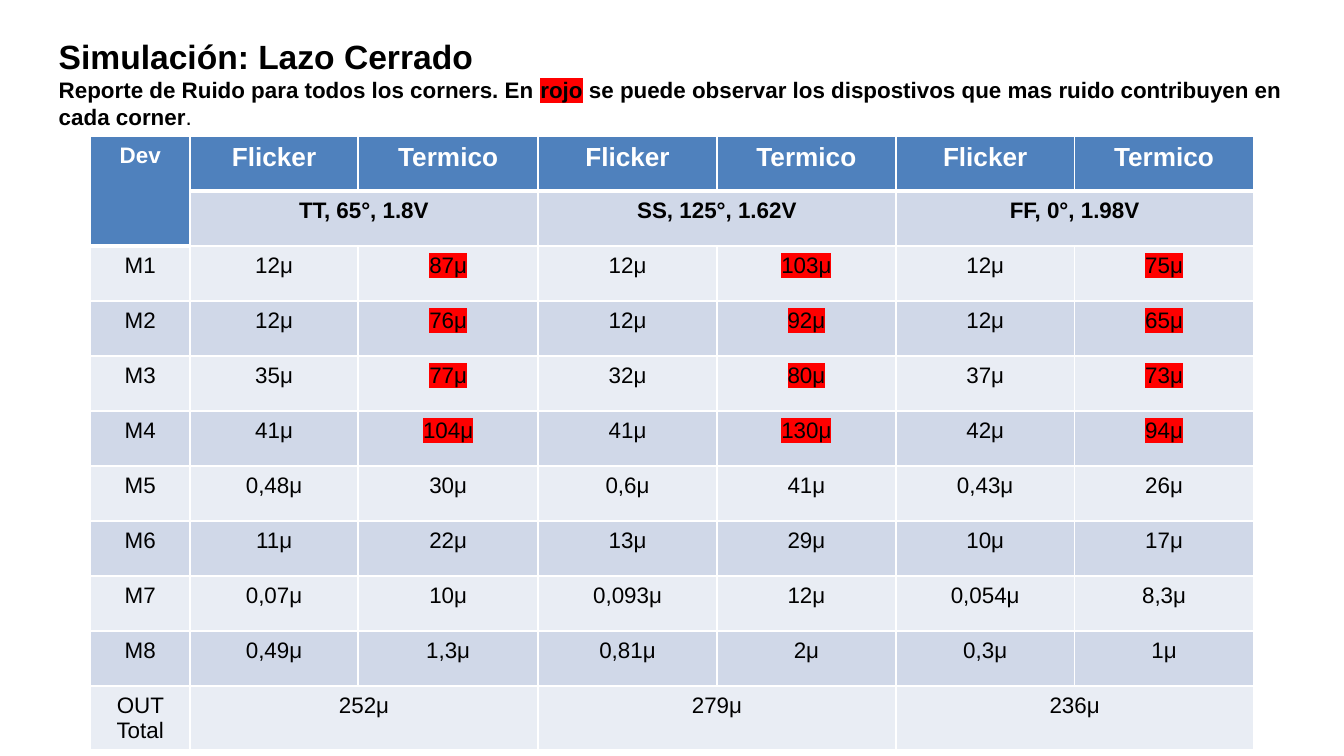
from dataclasses import dataclass

from lxml.etree import SubElement
from pptx import Presentation
from pptx.dml.color import RGBColor as Color
from pptx.enum.text import MSO_ANCHOR as Anchor, MSO_AUTO_SIZE as AutoSize, PP_ALIGN as Align
from pptx.oxml.ns import qn
from pptx.util import Cm, Pt

TITLE = "Simulación: Lazo Cerrado"
SUBTITLE = [  # text, style
    ("Reporte de Ruido para todos los corners. En ", {"bold": True}),
    ("rojo", {"bold": True, "marked": True}),
    (" se puede observar los dispostivos que mas ruido contribuyen en cada corner", {"bold": True}),
    (".", {}),
]
CORNERS = ["TT, 65°, 1.8V", "SS, 125°, 1.62V", "FF, 0°, 1.98V"]
NOISE = [  # device, then flicker and thermal noise for each corner
    ("M1", "12μ", "87μ", "12μ", "103μ", "12μ", "75μ"),
    ("M2", "12μ", "76μ", "12μ", "92μ", "12μ", "65μ"),
    ("M3", "35μ", "77μ", "32μ", "80μ", "37μ", "73μ"),
    ("M4", "41μ", "104μ", "41μ", "130μ", "42μ", "94μ"),
    ("M5", "0,48μ", "30μ", "0,6μ", "41μ", "0,43μ", "26μ"),
    ("M6", "11μ", "22μ", "13μ", "29μ", "10μ", "17μ"),
    ("M7", "0,07μ", "10μ", "0,093μ", "12μ", "0,054μ", "8,3μ"),
    ("M8", "0,49μ", "1,3μ", "0,81μ", "2μ", "0,3μ", "1μ"),
]
NOISIEST = {"M1", "M2", "M3", "M4"}  # their thermal noise is marked
TOTALS = ["252μ", "279μ", "236μ"]
COLUMN_WIDTHS = [1.88, 3.18, 3.4, 3.38, 3.38, 3.38, 3.38]
ROW_HEIGHT = 1.04


@dataclass(frozen=True)
class Theme:
    font: str = "Arial"
    title: int = 18
    header: int = 14
    body: int = 12
    ink: str = "000000"
    light: str = "FFFFFF"
    mark: str = "FF0000"
    head_fill: str = "4F81BD"
    bands: tuple = ("E9EDF4", "D0D8E8")
    thin: int = 1
    thick: int = 3


THEME = Theme()


def add_span(para, text, size=THEME.body, color=THEME.ink, bold=False, marked=False):
    span = para.add_run()
    span.text = text
    font = span.font
    font.name, font.size, font.bold = THEME.font, Pt(size), bold
    font.color.rgb = Color.from_string(color)
    if marked:
        properties = span._r.get_or_add_rPr()
        highlight = SubElement(properties, qn("a:highlight"))
        SubElement(highlight, qn("a:srgbClr"), val=THEME.mark)
        properties.find(qn("a:solidFill")).addnext(highlight)


def set_borders(cell, top, bottom):
    properties = cell._tc.get_or_add_tcPr()
    widths = {"a:lnL": THEME.thin, "a:lnR": THEME.thin, "a:lnT": top, "a:lnB": bottom}
    for place, (side, width) in enumerate(widths.items()):
        line = SubElement(properties, qn(side), w=str(Pt(width)))
        fill = SubElement(line, qn("a:solidFill"))
        SubElement(fill, qn("a:srgbClr"), val=THEME.light)
        properties.insert(place, line)


def write_cell(cell, text, **style):
    para = cell.text_frame.paragraphs[0]
    para.alignment = Align.CENTER
    add_span(para, text, **style)


def write_merged(table, row, texts, **style):
    """Write one text over each flicker and thermal pair of columns."""
    for index, text in enumerate(texts):
        column = 1 + 2 * index
        table.cell(row, column).merge(table.cell(row, column + 1))
        write_cell(table.cell(row, column), text, **style)


def add_heading(page):
    box = page.shapes.title
    box.left, box.top, box.width, box.height = Cm(0.86), Cm(0.43), Cm(23.67), Cm(2.06)
    frame = box.text_frame
    frame.word_wrap, frame.auto_size, frame.vertical_anchor = True, AutoSize.NONE, Anchor.TOP
    frame.margin_left = frame.margin_right = frame.margin_top = frame.margin_bottom = Cm(0.25)
    para = frame.paragraphs[0]
    para.alignment = Align.LEFT
    add_span(para, TITLE, size=THEME.title, bold=True)
    para.add_line_break()
    for text, style in SUBTITLE:
        add_span(para, text, **style)


def add_noise_table(page):
    row_count = len(NOISE) + 3
    table = page.shapes.add_table(
        row_count, len(COLUMN_WIDTHS), Cm(1.71), Cm(2.57),
        Cm(sum(COLUMN_WIDTHS)), Cm(ROW_HEIGHT * row_count)).table
    for column, width in zip(table.columns, COLUMN_WIDTHS):
        column.width = Cm(width)

    for r, row in enumerate(table.rows):
        row.height = Cm(ROW_HEIGHT)
        for c, cell in enumerate(row.cells):
            last_head_row = 1 if c == 0 else 0
            is_head = r <= last_head_row
            cell.fill.solid()
            cell.fill.fore_color.rgb = Color.from_string(
                THEME.head_fill if is_head else THEME.bands[r % 2])
            set_borders(cell,
                        top=THEME.thick if r == last_head_row + 1 else THEME.thin,
                        bottom=THEME.thick if r == last_head_row else THEME.thin)

    table.cell(0, 0).merge(table.cell(1, 0))
    write_cell(table.cell(0, 0), "Dev", color=THEME.light, bold=True)
    for c, text in enumerate(["Flicker", "Termico"] * len(CORNERS), start=1):
        write_cell(table.cell(0, c), text, size=THEME.header, color=THEME.light, bold=True)
    write_merged(table, 1, CORNERS, bold=True)
    for r, values in enumerate(NOISE, start=2):
        for c, text in enumerate(values):
            is_thermal = c > 0 and c % 2 == 0
            write_cell(table.cell(r, c), text, marked=is_thermal and values[0] in NOISIEST)
    write_cell(table.cell(row_count - 1, 0), "OUT Total")
    write_merged(table, row_count - 1, TOTALS)


def main():
    deck = Presentation()
    deck.slide_width, deck.slide_height = Cm(25.4), Cm(14.29)
    page = deck.slides.add_slide(deck.slide_layouts.get_by_name("Title Only"))
    add_heading(page)
    add_noise_table(page)
    deck.save("out.pptx")


if __name__ == "__main__":
    main()
